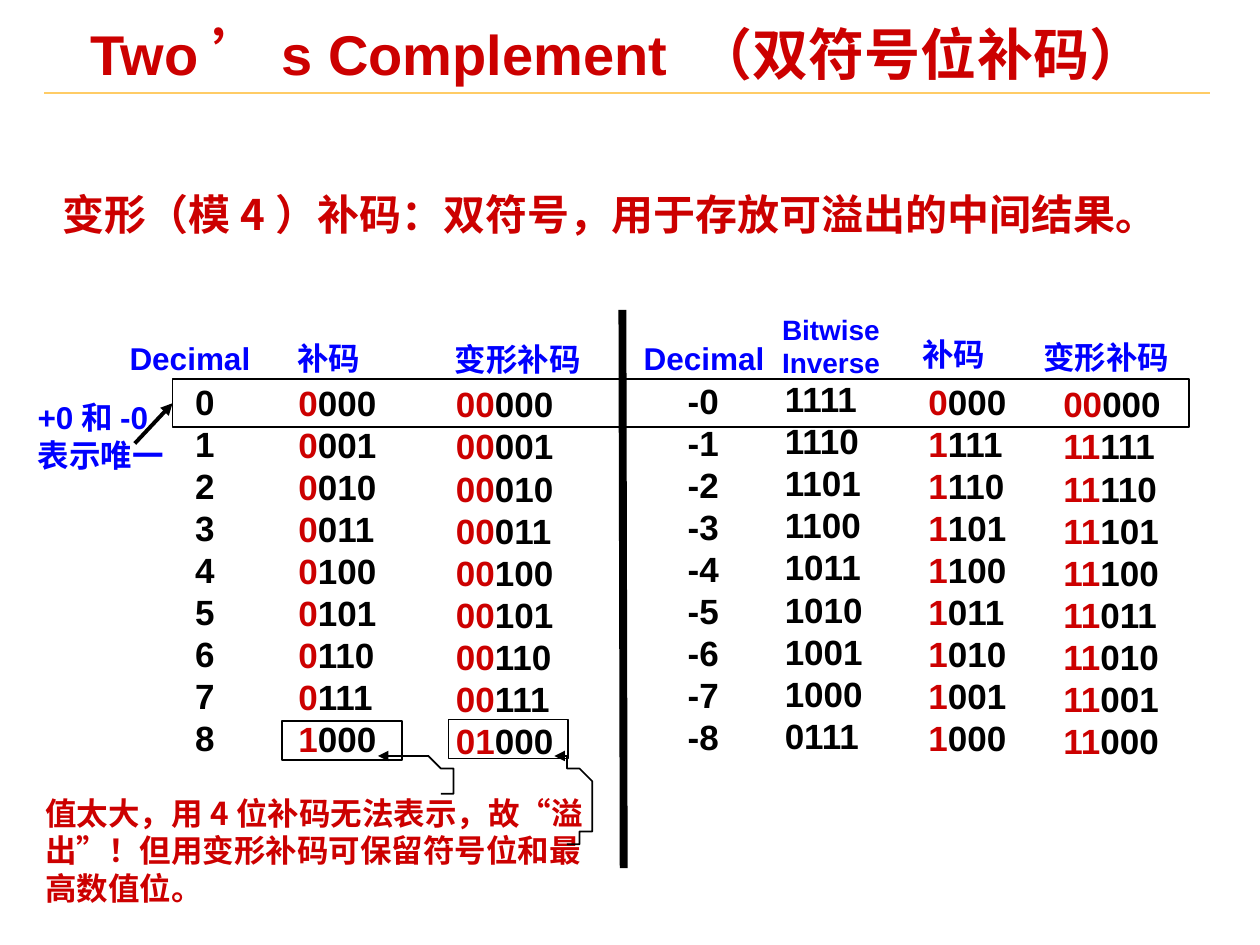
from lxml.etree import SubElement
from pptx import Presentation
from pptx.dml.color import RGBColor
from pptx.enum.lang import MSO_LANGUAGE_ID
from pptx.enum.shapes import MSO_CONNECTOR, MSO_SHAPE
from pptx.enum.text import MSO_ANCHOR, PP_ALIGN
from pptx.oxml.ns import qn
from pptx.util import Inches, Pt

COLORS = {"red": "CC0000", "blue": "0000FF", "ink": "000000", "gold": "FFCC66"}
LATIN, CHINESE = "Arial", "Noto Sans CJK SC"
CELL = Inches(0.1)  # the slide is a grid of 100 columns by 75 rows
CURVE_STEPS = 16


def grid(*cells):
    return [round(cell * CELL) for cell in cells]


def add_text(paragraph, text, *, size, color="ink", font=LATIN):
    run = paragraph.add_run()
    run.text = text
    run.font.size = Pt(size)
    run.font.bold = True
    run.font.name = font
    run.font.language_id = MSO_LANGUAGE_ID.SIMPLIFIED_CHINESE
    run.font.color.rgb = RGBColor.from_string(COLORS[color])
    SubElement(run.font._element, qn("a:ea"), typeface=CHINESE)


def bezier(start, control1, control2, end):
    """Points along a cubic curve, without its start."""
    for step in range(1, CURVE_STEPS + 1):
        t = step / CURVE_STEPS
        weights = ((1 - t) ** 3, 3 * t * (1 - t) ** 2, 3 * t * t * (1 - t), t ** 3)
        yield tuple(
            sum(w * value for w, value in zip(weights, axis))
            for axis in zip(start, control1, control2, end)
        )


class SlideBuilder:
    def __init__(self, deck):
        self.slide = deck.slides.add_slide(deck.slide_layouts[6])
        self.shapes = self.slide.shapes

    def text_box(self, box, lines, *, insets=(1, 0.5), align=PP_ALIGN.LEFT,
                 anchor=MSO_ANCHOR.TOP, line_spacing=None, sign_digits=0, wrap=True, **style):
        """Add one paragraph per line; the first sign_digits characters are red."""
        frame = self.shapes.add_textbox(*grid(*box)).text_frame
        frame.word_wrap = wrap
        frame.vertical_anchor = anchor
        frame.margin_left, frame.margin_top = grid(*insets)
        frame.margin_right, frame.margin_bottom = grid(*insets)
        for index, line in enumerate(lines):
            paragraph = frame.add_paragraph() if index else frame.paragraphs[0]
            paragraph.alignment = align
            paragraph.line_spacing = line_spacing
            if sign_digits:
                add_text(paragraph, line[:sign_digits], **{**style, "color": "red"})
            add_text(paragraph, line[sign_digits:], **style)

    def frame(self, box):
        outline = self.shapes.add_shape(MSO_SHAPE.RECTANGLE, *grid(*box))
        outline.shadow.inherit = False
        outline.fill.background()
        self.stroke(outline, "ink", 1)
        return outline

    def line(self, start, end, *, color="ink", width=1, arrow=None):
        connector = self.shapes.add_connector(MSO_CONNECTOR.STRAIGHT, *grid(*start, *end))
        SubElement(connector._element.spPr, qn("a:effectLst"))
        self.stroke(connector, color, width, arrow)
        return connector

    def curved_arrow(self, start, *segments):
        """Draw joined cubic curves with an arrowhead at the start."""
        points = [start]
        for segment in segments:
            points.extend(bezier(points[-1], *segment))
        builder = self.shapes.build_freeform(*points[0], scale=CELL)
        builder.add_line_segments(points[1:], close=False)
        curve = builder.convert_to_shape()
        curve.shadow.inherit = False
        curve.fill.background()
        self.stroke(curve, "ink", 1, arrow="headEnd")

    @staticmethod
    def stroke(shape, color, width, arrow=None):
        shape.line.color.rgb = RGBColor.from_string(COLORS[color])
        shape.line.width = Pt(width)
        if arrow:
            SubElement(shape.line._get_or_add_ln(), qn(f"a:{arrow}"), type="triangle")


def main():
    deck = Presentation()
    deck.slide_width, deck.slide_height = grid(100, 75)
    page = SlideBuilder(deck)

    page.line((3.5, 7.4), (96, 7.4), color="gold")
    page.text_box((6.5, 2, 88.4, 5.2), ["Two’s Complement （双符号位补码）"], size=32,
                  color="red", insets=(0.7, 0.3), anchor=MSO_ANCHOR.MIDDLE, line_spacing=0.87)
    page.text_box((4, 14.5, 91.4, 5), ["变形（模4）补码：双符号，用于存放可溢出的中间结果。"],
                  size=24, color="red", font=CHINESE)

    headings = [
        (9.3, 26.4, 13.3, "Decimal"), (22.6, 26.4, 7, "补码"), (35.1, 26.5, 12, "变形补码"),
        (50.1, 26.4, 13.3, "Decimal"), (72.2, 26.1, 7, "补码"), (81.8, 26.3, 12, "变形补码"),
    ]
    for left, top, width, heading in headings:
        page.text_box((left, top, width, 4), [heading], size=18, color="blue", wrap=False)
    page.text_box((60.4, 24.3, 11.1, 6.3), ["Bitwise", "Inverse"], size=16, color="blue",
                  align=PP_ALIGN.CENTER)

    magnitudes = range(9)
    columns = [
        (14.5, 29.7, 4.2, 0, [f"{n}" for n in magnitudes]),
        (22.7, 29.8, 8.2, 1, [f"{n:04b}" for n in magnitudes]),
        (35.2, 29.9, 10.5, 2, [f"{n:05b}" for n in magnitudes]),
        (53.6, 29.6, 7.2, 0, [f"-{n}" for n in magnitudes]),
        (61.3, 29.5, 8.2, 0, [f"{15 - n:04b}" for n in magnitudes]),
        (72.7, 29.7, 8.2, 1, [f"{-n % 16:04b}" for n in magnitudes]),
        (83.4, 29.9, 11.5, 2, [f"{-n % 32:05b}" for n in magnitudes]),
    ]
    for left, top, width, sign_digits, codes in columns:
        page.text_box((left, top, width, 31), codes, size=20, sign_digits=sign_digits)

    zero_row = page.frame((13.7, 30.1, 80.7, 3.8))
    for overflow_box in ((22.4, 57.2, 9.5, 3.1), (35.6, 57.1, 9.5, 3.1)):
        page.frame(overflow_box)
    page.line((49.4, 24.6), (49.5, 68.9), width=4.5)

    page.text_box((2, 31.1, 12.1, 7), ["+0和-0表示唯一"], size=18, color="blue")
    zero_arrow = page.line((10.7, 35.2), (13.7, 32), width=2.25, arrow="tailEnd")
    zero_arrow.end_connect(zero_row, 1)

    page.text_box((2.6, 62.5, 44.9, 10),
                  ["值太大，用4位补码无法表示，故“溢出”！但用变形补码可保留符号位和最高数值位。"],
                  size=18, color="red", font=CHINESE)
    page.curved_arrow((30.4, 59.8), ((33.6, 59.9), (36.1, 60.8), (36.1, 62)),
                      ((36.1, 62.4), (35.9, 62.7), (35.4, 63.1)))
    page.curved_arrow((44.3, 59.8), ((46.1, 60.6), (47.1, 62.1), (47.1, 63.7)),
                      ((47.1, 64.9), (46.5, 66.1), (45.3, 67)))

    deck.save("out.pptx")


if __name__ == "__main__":
    main()
